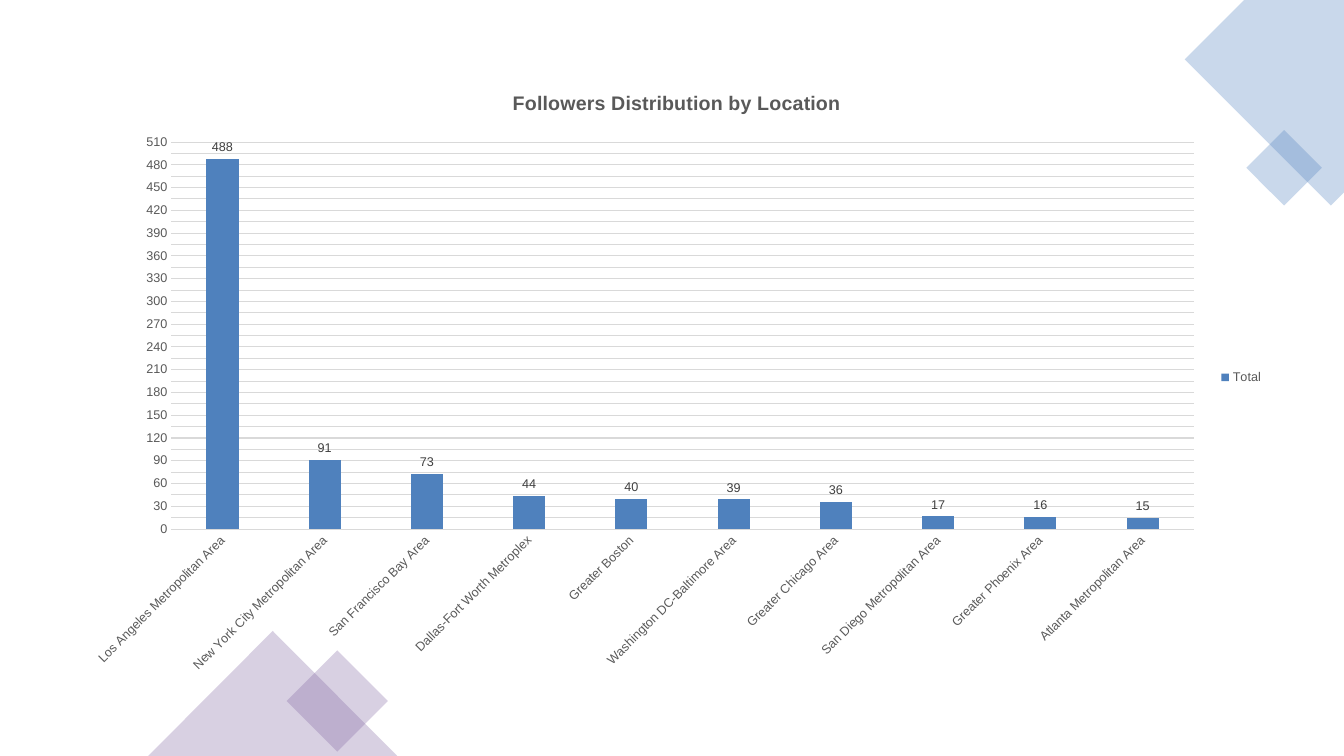
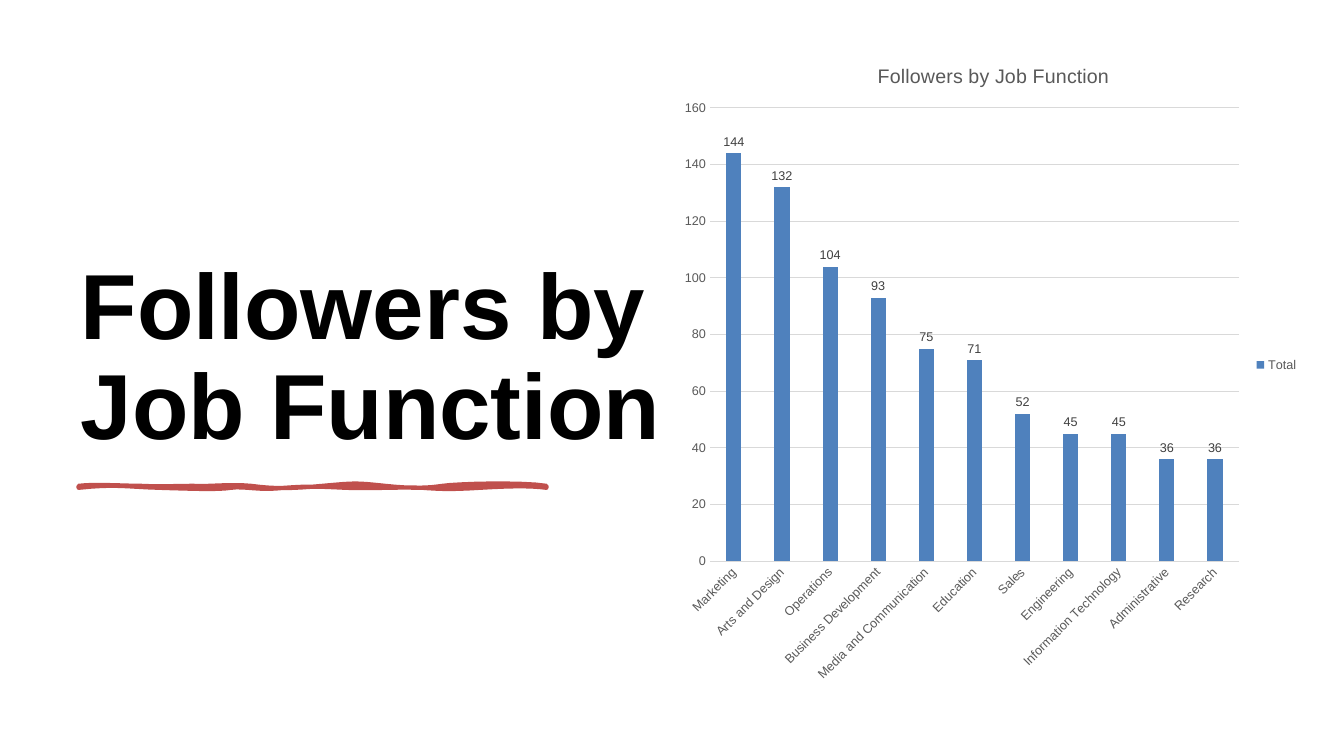
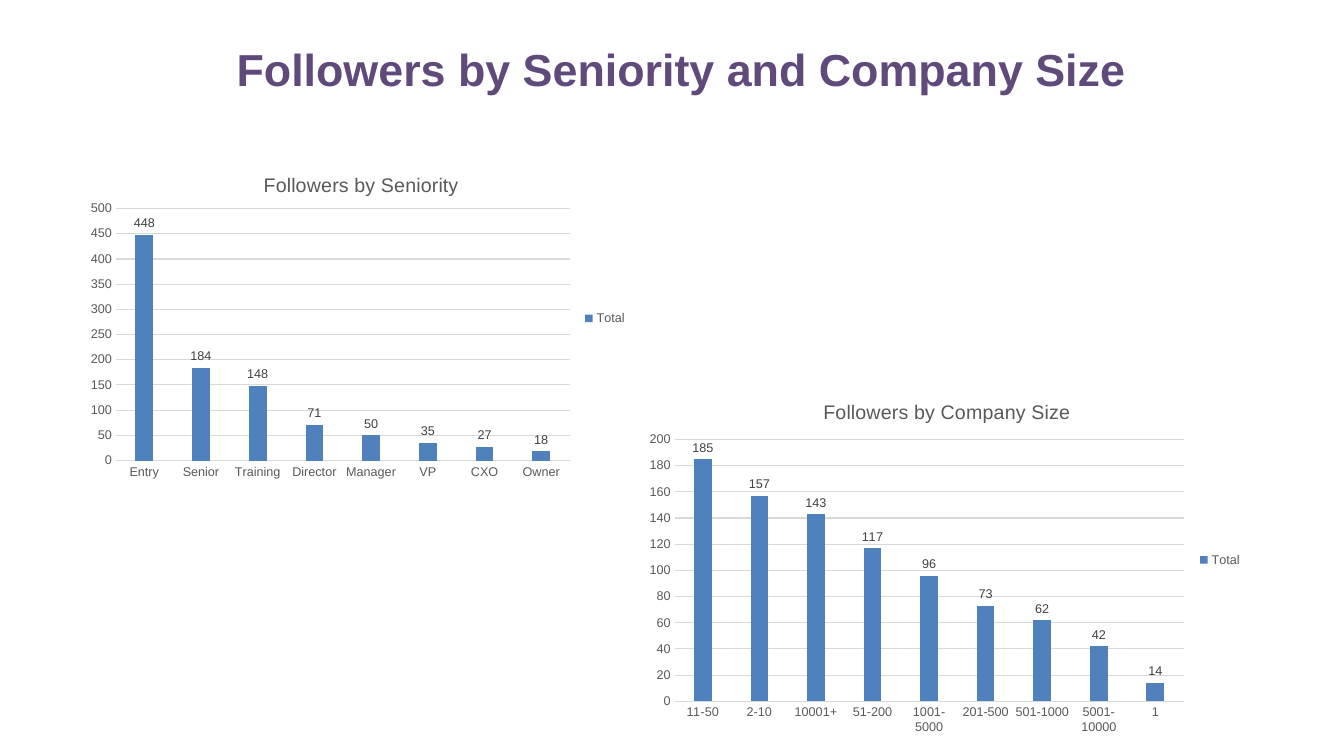
from lxml import etree
from pptx import Presentation
from pptx.chart.data import CategoryChartData
from pptx.dml.color import RGBColor
from pptx.enum.chart import XL_CHART_TYPE, XL_LABEL_POSITION, XL_LEGEND_POSITION, XL_TICK_MARK
from pptx.enum.shapes import MSO_SHAPE
from pptx.enum.text import MSO_ANCHOR, MSO_AUTO_SIZE, PP_ALIGN
from pptx.oxml.ns import qn
from pptx.util import Inches, Pt

COLUMN = XL_CHART_TYPE.COLUMN_CLUSTERED
OUTSIDE_END = XL_LABEL_POSITION.OUTSIDE_END
LEGEND_RIGHT = XL_LEGEND_POSITION.RIGHT
NO_TICK = XL_TICK_MARK.NONE
RECTANGLE, TRIANGLE = MSO_SHAPE.RECTANGLE, MSO_SHAPE.ISOSCELES_TRIANGLE
BOTTOM, TOP = MSO_ANCHOR.BOTTOM, MSO_ANCHOR.TOP
LEFT, CENTER = PP_ALIGN.LEFT, PP_ALIGN.CENTER
NO_AUTOFIT = MSO_AUTO_SIZE.NONE

BLUE = RGBColor(0x4F, 0x81, 0xBD)
PURPLE = RGBColor(0x80, 0x64, 0xA2)
DARK_PURPLE = RGBColor(0x60, 0x4A, 0x7B)
RED = RGBColor(0xC0, 0x50, 0x4D)
BLACK = RGBColor(0, 0, 0)
TEXT_GRAY = RGBColor(0x59, 0x59, 0x59)
LABEL_GRAY = RGBColor(0x40, 0x40, 0x40)
GRID_GRAY = RGBColor(0xD9, 0xD9, 0xD9)
FONT = "Arial"
TITLE_ONLY, BLANK = 5, 6

LOCATIONS = [
    ("Los Angeles Metropolitan Area", 488), ("New York City Metropolitan Area", 91),
    ("San Francisco Bay Area", 73), ("Dallas-Fort Worth Metroplex", 44),
    ("Greater Boston", 40), ("Washington DC-Baltimore Area", 39),
    ("Greater Chicago Area", 36), ("San Diego Metropolitan Area", 17),
    ("Greater Phoenix Area", 16), ("Atlanta Metropolitan Area", 15),
]
JOB_FUNCTIONS = [
    ("Marketing", 144), ("Arts and Design", 132), ("Operations", 104),
    ("Business Development", 93), ("Media and Communication", 75),
    ("Education", 71), ("Sales", 52), ("Engineering", 45),
    ("Information Technology", 45), ("Administrative", 36), ("Research", 36),
]
SENIORITIES = [
    ("Entry", 448), ("Senior", 184), ("Training", 148), ("Director", 71),
    ("Manager", 50), ("VP", 35), ("CXO", 27), ("Owner", 18),
]
COMPANY_SIZES = [
    ("11-50", 185), ("2-10", 157), ("10001+", 143), ("51-200", 117),
    ("1001-5000", 96), ("201-500", 73), ("501-1000", 62), ("5001-10000", 42), ("1", 14),
]


def style_font(font, size, color, bold=False):
    font.name, font.size, font.bold = FONT, Pt(size), bold
    font.color.rgb = color


def set_title(slide, box, text, size, color, anchor, align):
    """Move and format the title placeholder."""
    title = slide.shapes.title
    title.left, title.top, title.width, title.height = map(Inches, box)
    frame = title.text_frame
    frame.word_wrap = True
    frame.auto_size = NO_AUTOFIT
    frame.vertical_anchor = anchor
    paragraph = frame.paragraphs[0]
    paragraph.alignment = align
    run = paragraph.add_run()
    run.text = text
    style_font(run.font, size, color, bold=True)
    return paragraph


# Charts
def set_layout(parent, index, **values):
    """Give a chart part a fixed place, in fractions of the chart."""
    for old_layout in parent.findall(qn("c:layout")):
        parent.remove(old_layout)
    layout = etree.Element(qn("c:layout"))
    manual = etree.SubElement(layout, qn("c:manualLayout"))
    for name, value in values.items():
        etree.SubElement(manual, qn(f"c:{name}")).set("val", str(value))
    parent.insert(index, layout)


def add_follower_chart(slide, box, title, title_at, plot_box, rows,
                       bold=False, major_unit=None, slanted=False):
    """Column chart; title_at and plot_box are offsets within box, in inches."""
    data = CategoryChartData()
    data.categories = [name for name, _ in rows]
    data.add_series("Total", [value for _, value in rows])
    chart = slide.shapes.add_chart(COLUMN, *map(Inches, box), data).chart
    style_font(chart.font, 10, BLACK)
    width, height = box[2:]

    # Title
    run = chart.chart_title.text_frame.paragraphs[0].add_run()
    run.text = title
    style_font(run.font, 14, TEXT_GRAY, bold)
    chart.chart_title.include_in_layout = False
    set_layout(chart.element.find(".//" + qn("c:title")) if hasattr(chart, "element")
               else chart._chartSpace.find(".//" + qn("c:title")), 1,
               xMode="edge", yMode="edge",
               x=title_at[0] / width, y=title_at[1] / height)

    # Legend
    chart.has_legend = True
    chart.legend.position = LEGEND_RIGHT
    chart.legend.include_in_layout = False
    style_font(chart.legend.font, 9, TEXT_GRAY)

    # Axes
    category_axis, value_axis = chart.category_axis, chart.value_axis
    for axis in (category_axis, value_axis):
        axis.major_tick_mark = axis.minor_tick_mark = NO_TICK
        style_font(axis.tick_labels.font, 9, TEXT_GRAY)
    value_axis.format.line.fill.background()
    value_axis.has_major_gridlines = True
    for line in (category_axis.format.line, value_axis.major_gridlines.format.line):
        line.color.rgb = GRID_GRAY
        line.width = Pt(0.75)
    if major_unit:
        value_axis.major_unit = major_unit
    if slanted:
        body = category_axis._element.find(qn("c:txPr")).find(qn("a:bodyPr"))
        body.set("rot", "-2700000")
        body.set("vert", "horz")

    # Columns and their labels
    plot = chart.plots[0]
    plot.gap_width, plot.overlap, plot.vary_by_categories = 219, -27, False
    fill = plot.series[0].format.fill
    fill.solid()
    fill.fore_color.rgb = BLUE
    plot.has_data_labels = True
    labels = plot.data_labels
    labels.show_value = True
    labels.position = OUTSIDE_END
    style_font(labels.font, 9, LABEL_GRAY)
    left, top, plot_width, plot_height = plot_box
    set_layout(chart._chartSpace.find(".//" + qn("c:plotArea")), 0,
               layoutTarget="inner", xMode="edge", yMode="edge",
               x=left / width, y=top / height,
               w=plot_width / width, h=plot_height / height)


# Decorations
def make_translucent(shape, color, rotation=0):
    shape.shadow.inherit = False
    shape.line.fill.background()
    shape.fill.solid()
    shape.fill.fore_color.rgb = color
    shape.rotation = rotation
    color_element = shape.fill._xPr.find(".//" + qn("a:srgbClr"))
    etree.SubElement(color_element, qn("a:alpha")).set("val", "30000")


def add_polygon(slide, points):
    points = [(Inches(x), Inches(y)) for x, y in points]
    builder = slide.shapes.build_freeform(*points[0])
    builder.add_line_segments(points[1:], close=True)
    return builder.convert_to_shape()


def add_corner_diamonds(slide):
    """Blue diamonds at the top right, purple ones at the bottom left."""
    corner = [(13.33, 0), (12.34, 0), (11.75, 0.59), (13.2, 2.04), (13.33, 1.91)]
    make_translucent(add_polygon(slide, corner), BLUE)
    for kind, box, color, rotation in (
        (RECTANGLE, (12.47, 1.4, 0.53, 0.53), BLUE, 45),
        (RECTANGLE, (2.99, 6.6, 0.71, 0.71), PURPLE, 45),
        (TRIANGLE, (1.47, 6.26, 2.47, 1.24), PURPLE, 0),
    ):
        make_translucent(slide.shapes.add_shape(kind, *map(Inches, box)), color, rotation)


def sample_curve(start, first, second, end, steps=8):
    """Points along a cubic curve, without its start."""
    for step in range(1, steps + 1):
        t = step / steps
        weights = ((1 - t) ** 3, 3 * t * (1 - t) ** 2, 3 * t * t * (1 - t), t ** 3)
        yield tuple(sum(weight * point[axis] for weight, point
                        in zip(weights, (start, first, second, end))) for axis in (0, 1))


def add_brush_line(slide, left, top):
    """Hand-drawn underline; each curve has two controls and an end."""
    curves = [
        ((0.17, -0.02), (0.42, 0), (0.62, 0)), ((0.82, 0.01), (0.99, 0), (1.14, 0)),
        ((1.29, 0.01), (1.49, -0.02), (1.71, 0)), ((1.94, 0.03), (2.09, 0.03), (2.42, 0)),
        ((2.75, -0.03), (2.75, -0.03), (3.04, 0)), ((3.32, 0.03), (3.48, 0.02), (3.61, 0)),
        ((3.74, -0.02), (4.39, -0.04), (4.64, 0)), ((4.64, 0.01), (4.64, 0.01), (4.64, 0.02)),
        ((4.5, 0), (4.3, 0), (3.98, 0.02)), ((3.66, 0.04), (3.56, 0.03), (3.41, 0.02)),
        ((3.26, 0.01), (2.87, 0.03), (2.65, 0.02)), ((2.44, 0.01), (2.29, 0), (2.04, 0.02)),
        ((1.79, 0.05), (1.64, 0), (1.51, 0.02)), ((1.38, 0.04), (1.14, 0.03), (0.8, 0.02)),
        ((0.46, 0.01), (0.37, -0.02), (0, 0.02)),
    ]
    points = [(0, 0)]
    for curve in curves:
        points.extend(sample_curve(points[-1], *curve))
    brush = add_polygon(slide, [(left + x, top + y) for x, y in points])
    brush.shadow.inherit = False
    brush.fill.solid()
    brush.fill.fore_color.rgb = RED
    brush.line.color.rgb = RED
    brush.line.width = Pt(3)


# Slides
def add_location_slide(presentation):
    slide = presentation.slides.add_slide(presentation.slide_layouts[BLANK])
    add_corner_diamonds(slide)
    add_follower_chart(slide, (0.7, 0.7, 11.93, 6.09), "Followers Distribution by Location",
                       (4.35, 0.16), (1, 0.71, 10.14, 3.84), LOCATIONS,
                       bold=True, major_unit=15, slanted=True)


def add_job_slide(presentation):
    slide = presentation.slides.add_slide(presentation.slide_layouts[TITLE_ONLY])
    paragraph = set_title(slide, (0.7, 0.35, 7.32, 4.26), "Followers by Job Function",
                          66, BLACK, BOTTOM, LEFT)
    paragraph.line_spacing = 0.9
    paragraph.space_after = Pt(6)
    add_brush_line(slide, 0.78, 4.82)
    add_follower_chart(slide, (6.67, 0.35, 6.31, 6.54), "Followers by Job Function",
                       (2, 0.24), (0.37, 0.72, 5.25, 4.5), JOB_FUNCTIONS, slanted=True)


def add_seniority_slide(presentation):
    slide = presentation.slides.add_slide(presentation.slide_layouts[TITLE_ONLY])
    add_follower_chart(slide, (0.79, 1.5, 5.53, 3.32), "Followers by Seniority",
                       (1.79, 0.17), (0.36, 0.57, 4.5, 2.5), SENIORITIES)
    add_follower_chart(slide, (6.32, 3.75, 6.1, 3.61), "Followers by Company Size",
                       (1.81, 0.18), (0.37, 0.61, 5.05, 2.6), COMPANY_SIZES)
    set_title(slide, (0.79, 0.36, 11.94, 0.64), "Followers by Seniority and Company Size",
              32, DARK_PURPLE, TOP, CENTER)


def main():
    presentation = Presentation()
    presentation.slide_width, presentation.slide_height = Inches(13.33), Inches(7.5)
    add_location_slide(presentation)
    add_job_slide(presentation)
    add_seniority_slide(presentation)
    presentation.save("out.pptx")


if __name__ == "__main__":
    main()
